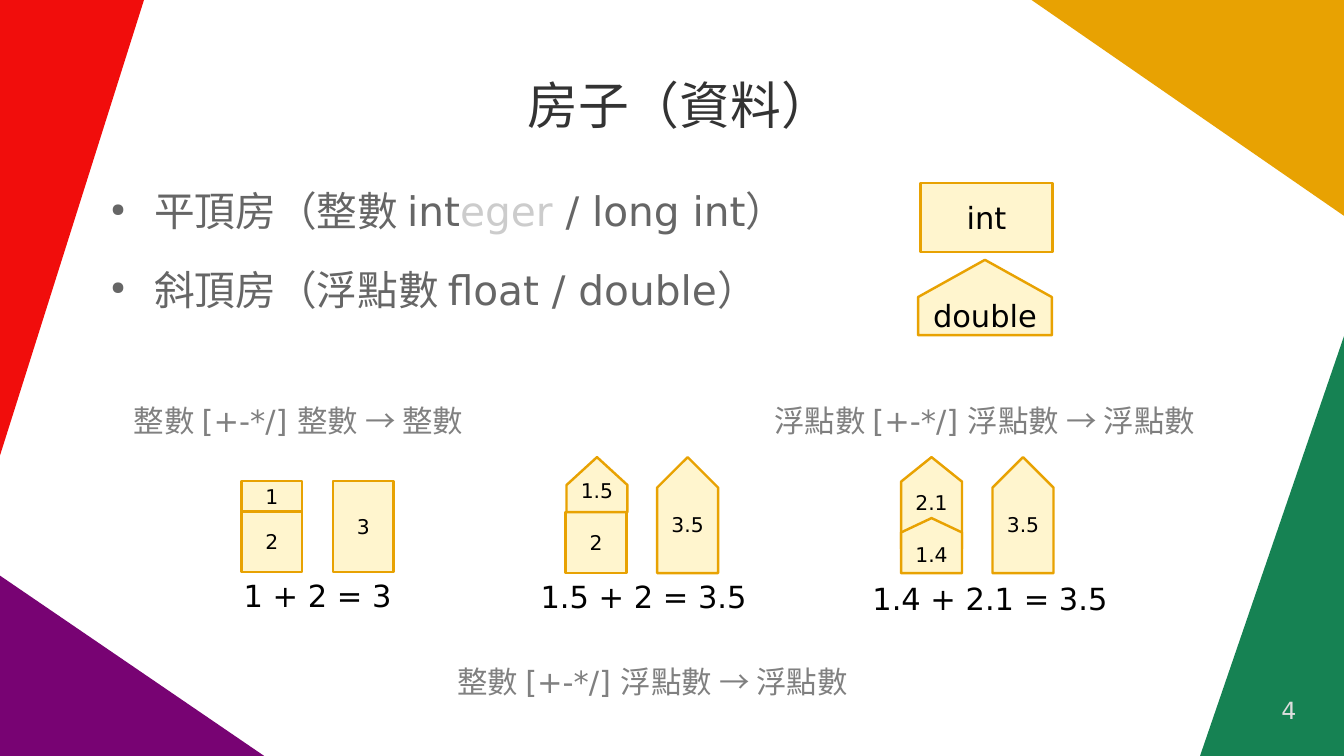
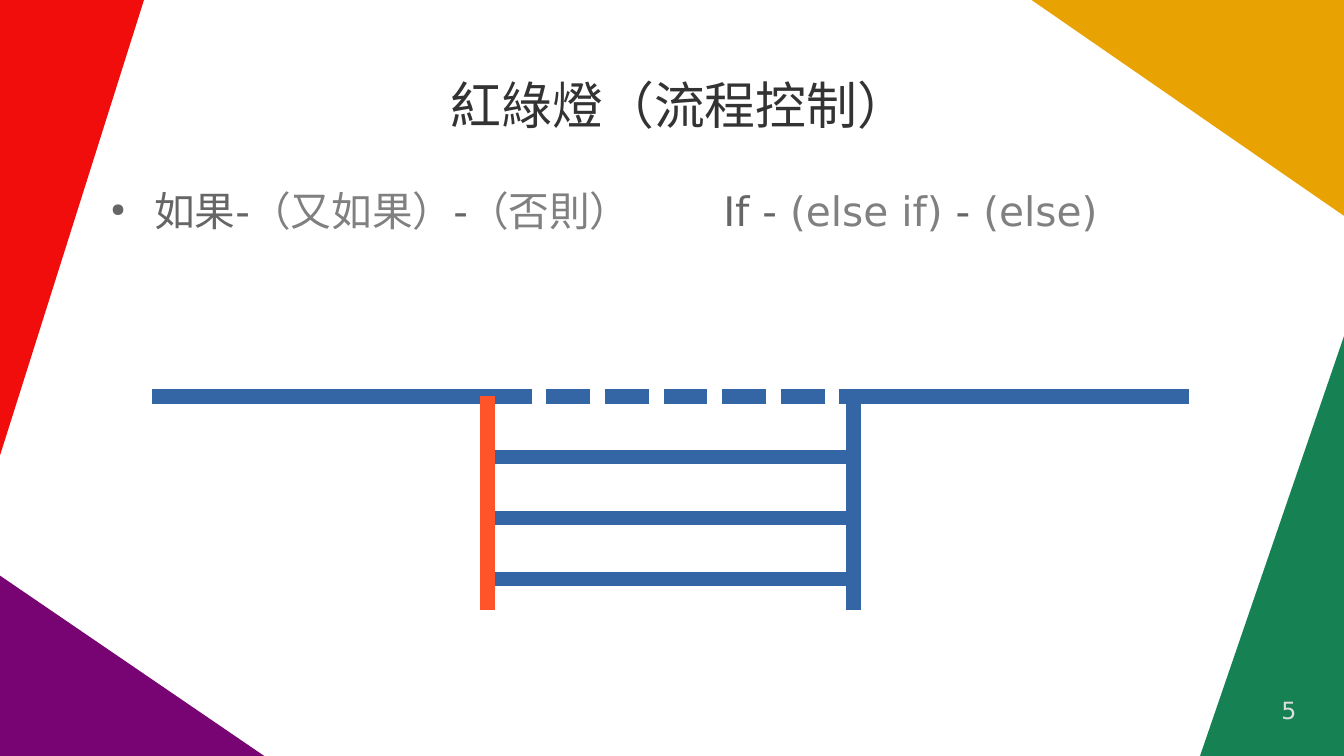
from lxml import etree
from pptx import Presentation
from pptx.dml.color import RGBColor
from pptx.enum.dml import MSO_LINE
from pptx.enum.shapes import MSO_CONNECTOR, MSO_SHAPE
from pptx.enum.text import MSO_ANCHOR, PP_ALIGN
from pptx.oxml.ns import qn
from pptx.util import Pt

STRAIGHT = MSO_CONNECTOR.STRAIGHT
RECTANGLE = MSO_SHAPE.RECTANGLE
DASHED = MSO_LINE.SQUARE_DOT
TOP, MIDDLE = MSO_ANCHOR.TOP, MSO_ANCHOR.MIDDLE
LEFT, CENTER, RIGHT = PP_ALIGN.LEFT, PP_ALIGN.CENTER, PP_ALIGN.RIGHT

WIDTH, HEIGHT = 793.5, 446.5
FONT = "DejaVu Sans"
BLACK, DARK, BODY, MUTED, PALE, FOOTER = "000000", "333333", "666666", "808080", "CCCCCC", "DDDDDD"
CREAM, AMBER, ROAD, SIGNAL = "FFF5CE", "E8A202", "3465A4", "FF5429"
CORNERS = [
    ("780373", [(0, 340), (0, HEIGHT), (156, HEIGHT)]),
    ("F10D0C", [(0, 0), (0, 269), (85, 0)]),
    (AMBER, [(WIDTH, 0), (609, 0), (WIDTH, 127.5)]),
    ("168253", [(WIDTH, HEIGHT), (WIDTH, 198.5), (708.5, HEIGHT)]),
]


def rgb(code):
    return RGBColor.from_string(code)


class Deck:
    """Holds the presentation, its shared style and the current slide."""

    def __init__(self):
        self.presentation = Presentation()
        self.presentation.slide_width = Pt(WIDTH)
        self.presentation.slide_height = Pt(HEIGHT)

    def start(self, title, number):
        layout = self.presentation.slide_layouts[6]
        self.slide = self.presentation.slides.add_slide(layout)
        for color, points in CORNERS:
            corner = self.outline(points)
            self.paint(corner, color)
        heading = self.text(title, 57, 28.5, 680, 70.5, 30, DARK, CENTER, MIDDLE, (0, 0))
        paragraph = heading.text_frame.paragraphs[0]
        paragraph.line_spacing = 0.9
        paragraph.space_after = Pt(10.6)
        paragraph._p.get_or_add_pPr().set("marL", str(Pt(8.5)))
        self.text(str(number), 581, 411, 184.5, 28, 14, FOOTER, RIGHT, margins=(0, 0))

    def outline(self, points):
        corners = [(Pt(x), Pt(y)) for x, y in points]
        builder = self.slide.shapes.build_freeform(*corners[0])
        builder.add_line_segments(corners[1:], close=True)
        return builder.convert_to_shape()

    def paint(self, shape, fill, line=None):
        shape.shadow.inherit = False
        shape.fill.solid()
        shape.fill.fore_color.rgb = rgb(fill)
        if line:
            shape.line.color.rgb = rgb(line)
            shape.line.width = Pt(1.45)
        else:
            shape.line.fill.background()

    def style(self, run, size, color):
        run.font.name = FONT
        run.font.size = Pt(size)
        run.font.color.rgb = rgb(color)

    def frame(self, shape, margins, anchor):
        frame = shape.text_frame
        frame.margin_left = frame.margin_right = Pt(margins[0])
        frame.margin_top = frame.margin_bottom = Pt(margins[1])
        frame.vertical_anchor = anchor
        frame.word_wrap = True
        return frame

    def label(self, frame, words, size, color, align):
        frame.text = words
        paragraph = frame.paragraphs[0]
        paragraph.alignment = align
        self.style(paragraph.runs[0], size, color)

    def text(self, words, left, top, width, height, size, color,
             align=LEFT, anchor=TOP, margins=(7.2, 3.6)):
        box = self.slide.shapes.add_textbox(Pt(left), Pt(top), Pt(width), Pt(height))
        self.label(self.frame(box, margins, anchor), words, size, color, align)
        return box

    def bullets(self, items, tab=None):
        box = self.slide.shapes.add_textbox(Pt(57), Pt(113), Pt(680), Pt(283.5))
        frame = self.frame(box, (0, 0), TOP)
        for index, pieces in enumerate(items):
            paragraph = frame.add_paragraph() if index else frame.paragraphs[0]
            paragraph.line_spacing = 0.9
            paragraph.space_before = Pt(10)
            paragraph.space_after = Pt(10.6)
            for words, color in pieces:
                run = paragraph.add_run()
                run.text = words
                self.style(run, 24, color)
            self.mark(paragraph, tab)

    def mark(self, paragraph, tab):
        properties = paragraph._p.get_or_add_pPr()
        properties.set("marL", str(Pt(34)))
        properties.set("indent", str(Pt(-25.5)))
        tint = etree.SubElement(properties, qn("a:buClr"))
        etree.SubElement(tint, qn("a:srgbClr"), val=BODY)
        etree.SubElement(properties, qn("a:buSzPct"), val="45000")
        etree.SubElement(properties, qn("a:buChar"), char="●")
        if tab:
            stops = etree.SubElement(properties, qn("a:tabLst"))
            etree.SubElement(stops, qn("a:tab"), pos=str(Pt(tab)), algn="l")

    def house(self, value, left, top, width, height, roof=0, drop=0, size=12):
        if roof:
            right, bottom, eave = left + width, top + height, top + roof
            shape = self.outline([(left, bottom), (left, eave), (left + width / 2, top),
                                  (right, eave), (right, bottom)])
        else:
            shape = self.slide.shapes.add_shape(
                RECTANGLE, Pt(left), Pt(top), Pt(width), Pt(height))
        self.paint(shape, CREAM, AMBER)
        frame = self.frame(shape, (7.2, 3.6), MIDDLE)
        frame.margin_top = Pt(3.6 + drop)
        frame.word_wrap = False
        self.label(frame, value, size, BLACK, CENTER)

    def road(self, x1, y1, x2, y2, color=ROAD, dash=None):
        line = self.slide.shapes.add_connector(STRAIGHT, Pt(x1), Pt(y1), Pt(x2), Pt(y2))
        line.line.width = Pt(8.65)
        line.line.color.rgb = rgb(color)
        if dash:
            line.line.dash_style = dash
        etree.SubElement(line._element.spPr, qn("a:effectLst"))


def houses(deck):
    deck.start("房子（資料）", 4)
    deck.bullets([
        [("平頂房（整數 int", BODY), ("eger ", PALE), ("/ long int）", BODY)],
        [("斜頂房（浮點數 float / double）", BODY)],
    ])
    deck.house("int", 543.5, 108, 78, 41, size=18)
    deck.house("double", 542, 153.5, 79, 44.5, roof=22, drop=21, size=18)

    side, step = 36, 54
    whole, mixed, decimal = 142.5, 334, 532
    deck.house("2", whole, 302, side, 36)
    deck.house("1", whole, 284, side, 18)
    deck.house("3", whole + step, 284, side, 54)
    deck.house("2", mixed, 302.5, side, 36)
    deck.house("1.5", mixed + 0.5, 270, side, 32.5, roof=16.5, drop=7)
    deck.house("2.1", decimal, 270, side, 54, roof=14.5)
    deck.house("1.4", decimal, 306, side, 32.5, roof=8.5, drop=10.5)
    for left in (mixed, decimal):
        deck.house("3.5", left + step, 270, side, 68.5, roof=18, drop=10.5)

    for equation, left, top, width in (
        ("1 + 2 = 3", 124.5, 337.5, 126),
        ("1.5 + 2 = 3.5", 308, 338, 144),
        ("1.4 + 2.1 = 3.5", 500.5, 339, 168),
    ):
        deck.text(equation, left, top, width, 49, 18, BLACK, CENTER)
    for rule, left, top, width in (
        ("整數 [+-*/] 整數 → 整數", 72, 234, 223),
        ("整數 [+-*/] 浮點數 → 浮點數", 263, 388, 259),
        ("浮點數 [+-*/] 浮點數 → 浮點數", 450, 234, 277),
    ):
        deck.text(rule, left, top, width, 31, 18, MUTED)


def traffic_lights(deck):
    deck.start("紅綠燈（流程控制）", 5)
    deck.bullets([[
        ("如果-", BODY), ("（又如果）", MUTED), ("-", BODY), ("（否則）", MUTED),
        ("\tIf - ", BODY), ("(else if)", MUTED), (" - ", BODY), ("(else)", MUTED),
    ]], tab=370)
    fork, merge, main_road, branch_end = 288, 504, 234, 360
    deck.road(90, main_road, fork, main_road)
    deck.road(merge, main_road, 702, main_road)
    deck.road(fork, main_road, merge, main_road, dash=DASHED)
    for branch in range(1, 4):
        level = main_road + 36 * branch
        deck.road(fork, level, merge, level)
    deck.road(fork, branch_end, fork, main_road, SIGNAL)
    deck.road(merge, branch_end, merge, main_road)


def main():
    deck = Deck()
    houses(deck)
    traffic_lights(deck)
    deck.presentation.save("out.pptx")


if __name__ == "__main__":
    main()
